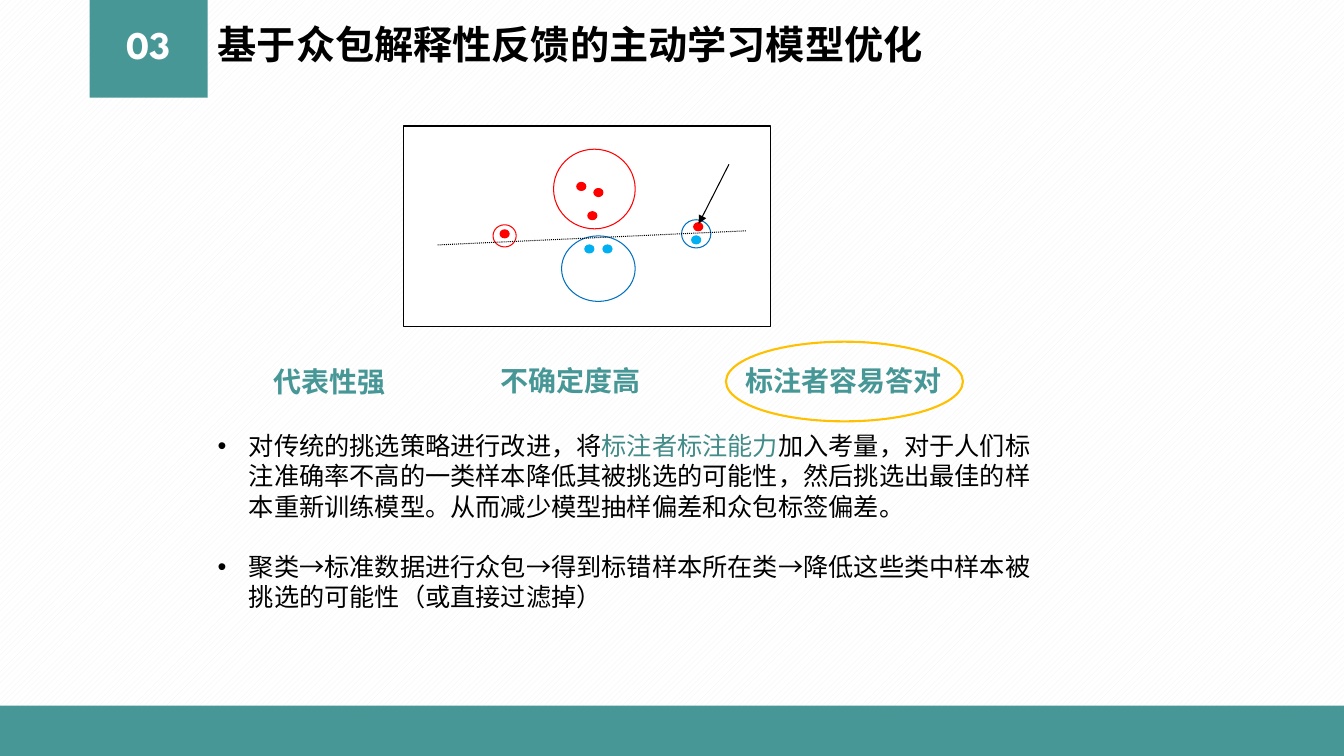
from typing import NamedTuple

from lxml.etree import SubElement
from pptx import Presentation
from pptx.dml.color import RGBColor
from pptx.enum.dml import MSO_LINE, MSO_PATTERN
from pptx.enum.shapes import MSO_CONNECTOR, MSO_SHAPE
from pptx.enum.text import MSO_ANCHOR, MSO_AUTO_SIZE, PP_ALIGN
from pptx.oxml.ns import qn
from pptx.util import Inches, Length, Pt

# Grid: square cells, ten to the inch
COLS, ROWS = 133.3, 75
FACE = "League Spartan"
TEAL, BLACK, WHITE = "479796", "000000", "FFFFFF"
RED, BLUE, SKY, GOLD = "FF0000", "0070C0", "00B0F0", "FFC000"


class Box(NamedTuple):
    col: float
    row: float
    wide: float
    high: float


class Ring(NamedTuple):
    box: Box
    line: str


class Dot(NamedTuple):
    col: float
    row: float
    fill: str


class Label(NamedTuple):
    box: Box
    text: str


class Point(NamedTuple):
    box: Box
    runs: list[tuple[str, str]]


RINGS = [
    Ring(Box(54.9, 14.8, 8.1, 7.9), RED),
    Ring(Box(48.9, 22.3, 2.3, 2.2), RED),
    Ring(Box(55.7, 23.4, 7.3, 6.5), BLUE),
    Ring(Box(67.6, 21.8, 2.9, 2.8), BLUE),
]
DOTS = [
    Dot(57.2, 18.1, RED), Dot(58.9, 18.7, RED), Dot(58.3, 21, RED),
    Dot(49.6, 22.8, RED), Dot(58, 24.3, SKY), Dot(59.8, 24.3, SKY),
    Dot(68.6, 23.4, SKY), Dot(68.8, 22.1, RED),
]
LABELS = [
    Label(Box(26.1, 35.7, 13.2, 4.4), "代表性强"),
    Label(Box(48.6, 35.6, 16, 4.4), "不确定度高"),
    Label(Box(72.8, 35.6, 21.7, 4.4), "标注者容易答对"),
]
POINTS = [
    Point(Box(20.6, 42.2, 83.8, 10.1), [
        ("对传统的挑选策略进行改进，将", BLACK),
        ("标注者标注能力", "418B88"),
        ("加入考量，对于人们标注准确率不高的一类样本降低其被挑选的可能性，"
         "然后挑选出最佳的样本重新训练模型。从而减少模型抽样偏差和众包标签偏差。", BLACK),
    ]),
    Point(Box(20.6, 54.2, 83.8, 7.1), [
        ("聚类→标准数据进行众包→得到标错样本所在类→降低这些类中样本被挑选的可能性"
         "（或直接过滤掉）", BLACK),
    ]),
]


def cell(count: float) -> Length:
    return Inches(count / 10)


def place(box: Box) -> list[Length]:
    return [cell(side) for side in box]


def rgb(code: str) -> RGBColor:
    return RGBColor.from_string(code)


def draw(shapes, kind: MSO_SHAPE, box: Box, fill: str = "", line: str = "",
         width: float = 0.75) -> None:
    shape = shapes.add_shape(kind, *place(box))
    shape.shadow.inherit = False
    if fill:
        shape.fill.solid()
        shape.fill.fore_color.rgb = rgb(fill)
    else:
        shape.fill.background()
    if line:
        shape.line.color.rgb = rgb(line)
        shape.line.width = Pt(width)
    else:
        shape.line.fill.background()


def join(shapes, start: tuple[float, float], end: tuple[float, float]):
    ends = [cell(side) for side in start + end]
    line = shapes.add_connector(MSO_CONNECTOR.STRAIGHT, *ends)
    line.line.color.rgb = rgb(BLACK)
    line.line.width = Pt(0.75)
    SubElement(line._element.spPr, qn("a:effectLst"))
    return line


def style(para, size: float, color: str = "", bold: bool = False) -> None:
    font = para.font
    font.name, font.size, font.bold = FACE, Pt(size), bold
    if color:
        font.color.rgb = rgb(color)


def head(shape, box: Box, text: str, color: str, align: PP_ALIGN) -> None:
    shape.left, shape.top, shape.width, shape.height = place(box)
    frame = shape.text_frame
    frame.word_wrap = True
    frame.auto_size = MSO_AUTO_SIZE.NONE
    frame.vertical_anchor = MSO_ANCHOR.MIDDLE
    para = frame.paragraphs[0]
    para.text, para.alignment, para.line_spacing = text, align, 0.9
    style(para, 28, color, True)


def tag(shapes, label: Label) -> None:
    frame = shapes.add_textbox(*place(label.box)).text_frame
    frame.word_wrap = False
    frame.auto_size = MSO_AUTO_SIZE.SHAPE_TO_FIT_TEXT
    para = frame.paragraphs[0]
    para.text, para.alignment = label.text, PP_ALIGN.CENTER
    style(para, 20, TEAL, True)


def note(shapes, point: Point) -> None:
    frame = shapes.add_textbox(*place(point.box)).text_frame
    frame.word_wrap = True
    frame.auto_size = MSO_AUTO_SIZE.SHAPE_TO_FIT_TEXT
    para = frame.paragraphs[0]
    props = para._p.get_or_add_pPr()
    props.set("marL", str(cell(3.1)))
    props.set("indent", str(-cell(3.1)))
    SubElement(props, qn("a:buFont"), typeface="Arial")
    SubElement(props, qn("a:buChar"), char="•")
    style(para, 18)
    for text, color in point.runs:
        run = para.add_run()
        run.text = text
        run.font.color.rgb = rgb(color)


def main() -> None:
    deck = Presentation()
    deck.slide_width, deck.slide_height = cell(COLS), cell(ROWS)
    slide = deck.slides.add_slide(deck.slide_layouts[5])
    shapes = slide.shapes

    # Hatched background
    back = slide.background.fill
    back.patterned()
    back.pattern = MSO_PATTERN.WIDE_UPWARD_DIAGONAL
    back.fore_color.rgb = rgb("F2F2F2")
    back.back_color.rgb = rgb(WHITE)

    # Number block, footer band and title
    draw(shapes, MSO_SHAPE.RECTANGLE, Box(8.9, 0, 11.7, 9.7), TEAL)
    draw(shapes, MSO_SHAPE.RECTANGLE, Box(0, ROWS - 5, COLS, 5), TEAL)
    spot = Box(8.9, 2.3, 11.7, 4.7)
    head(shapes.add_textbox(*place(spot)), spot, "03", WHITE, PP_ALIGN.CENTER)
    head(shapes.title, Box(20.6, 2.3, 73.6, 4.7),
         "基于众包解释性反馈的主动学习模型优化", BLACK, PP_ALIGN.LEFT)

    # Cluster diagram
    plot = shapes.add_group_shape().shapes
    draw(plot, MSO_SHAPE.RECTANGLE, Box(40, 12.5, 36.4, 19.9), WHITE, BLACK)
    for ring in RINGS:
        draw(plot, MSO_SHAPE.OVAL, ring.box, WHITE, ring.line)
    split = join(plot, (43.4, 24.3), (74, 22.9))
    split.line.dash_style = MSO_LINE.ROUND_DOT
    for dot in DOTS:
        draw(plot, MSO_SHAPE.OVAL, Box(dot.col, dot.row, 0.9, 0.8), dot.fill, dot.fill)
    arrow = join(plot, (72.3, 16.3), (69.3, 22.2))
    SubElement(arrow.line._get_or_add_ln(), qn("a:tailEnd"), type="triangle")

    # Criteria, the last one circled
    for label in LABELS:
        tag(shapes, label)
    draw(shapes, MSO_SHAPE.OVAL, Box(72, 33.9, 23.5, 7.9), line=GOLD, width=1.5)

    # Explanation
    for point in POINTS:
        note(shapes, point)

    deck.save("out.pptx")


if __name__ == "__main__":
    main()
